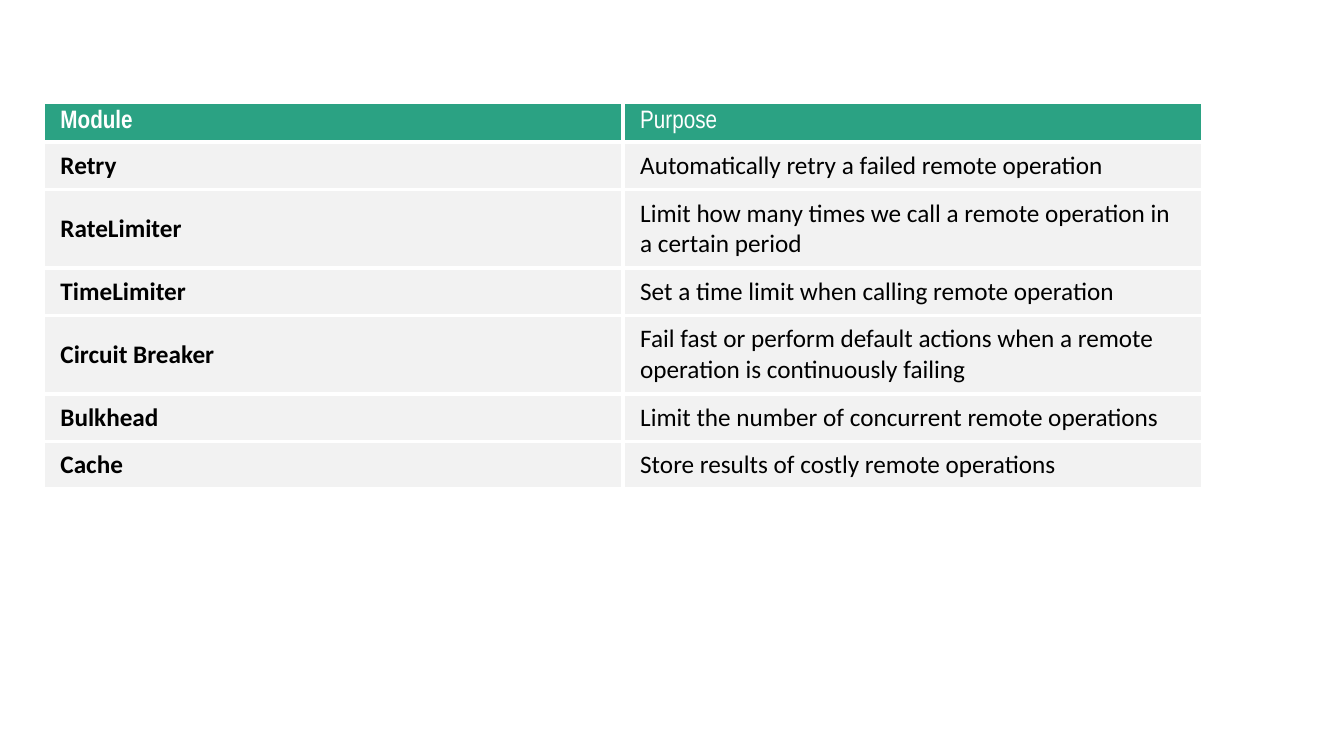
from lxml import etree
from pptx import Presentation
from pptx.dml.color import RGBColor
from pptx.enum.text import MSO_ANCHOR
from pptx.oxml.ns import qn
from pptx.util import Inches, Pt

MIDDLE = MSO_ANCHOR.MIDDLE

MODULES = [
    ("Module", "Purpose"),
    ("Retry", "Automatically retry a failed remote operation"),
    ("RateLimiter", "Limit how many times we call a remote operation in a certain period"),
    ("TimeLimiter", "Set a time limit when calling remote operation"),
    ("Circuit Breaker", "Fail fast or perform default actions when a remote "
                        "operation is continuously failing"),
    ("Bulkhead", "Limit the number of concurrent remote operations"),
    ("Cache", "Store results of costly remote operations"),
]
ROW_HEIGHTS = [0.4, 0.47, 0.78, 0.47, 0.78, 0.47, 0.47]


def rgb(color):
    return RGBColor.from_string(color)


class Deck:
    # Style: fill, text colour and font for each kind of row
    HEADER = ("2BA283", "FFFFFF", "Arial Narrow")
    BODY = ("F2F2F2", "000000", "Calibri")
    BORDER = "FFFFFF"
    BORDER_WIDTH = 3
    SIZE = 18

    def __init__(self):
        self.prs = Presentation()
        self.prs.slide_width = Inches(13.33)
        self.prs.slide_height = Inches(7.5)
        self.s = self.prs.slides.add_slide(self.prs.slide_layouts[6])

    def borders(self, cell):
        tcPr = cell._tc.get_or_add_tcPr()
        for side in ("lnL", "lnR", "lnT", "lnB"):
            ln = etree.SubElement(tcPr, qn(f"a:{side}"), w=str(Pt(self.BORDER_WIDTH)))
            fill = etree.SubElement(ln, qn("a:solidFill"))
            etree.SubElement(fill, qn("a:srgbClr"), val=self.BORDER)

    def cell(self, cell, text, style, bold):
        fill, color, font = style
        self.borders(cell)
        cell.fill.solid()
        cell.fill.fore_color.rgb = rgb(fill)
        cell.vertical_anchor = MIDDLE
        cell.margin_left = cell.margin_right = Inches(0.17)
        cell.margin_top = cell.margin_bottom = Inches(0.08)
        cell.text_frame.text = text
        r = cell.text_frame.paragraphs[0].runs[0]
        r.font.name = font
        r.font.size = Pt(self.SIZE)
        r.font.bold = bold
        r.font.color.rgb = rgb(color)

    def table(self, left, top, width, heights, rows):
        columns = len(rows[0])
        table = self.s.shapes.add_table(
            len(rows), columns, Inches(left), Inches(top),
            Inches(width), Inches(sum(heights))).table
        for column in table.columns:
            column.width = Inches(width / columns)
        for i, (height, row) in enumerate(zip(heights, rows)):
            table.rows[i].height = Inches(height)
            style = self.BODY if i else self.HEADER
            for j, text in enumerate(row):
                self.cell(table.cell(i, j), text, style, bold=j == 0)


def main():
    deck = Deck()
    # Modules and their purposes
    deck.table(0.43, 1.01, 11.5, ROW_HEIGHTS, MODULES)
    deck.prs.save("out.pptx")


if __name__ == "__main__":
    main()
